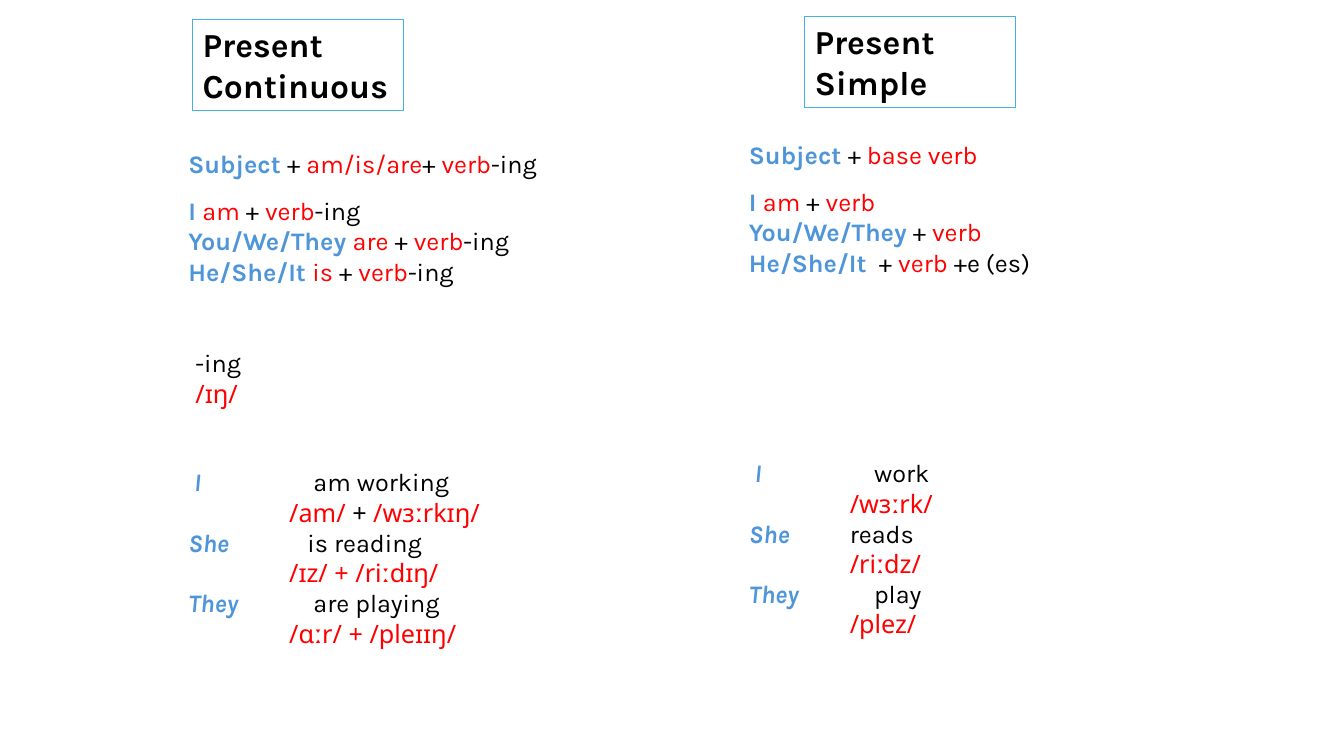
import pptx
import pptx.dml.color
import pptx.enum.shapes
import pptx.enum.text
import pptx.util
from lxml import etree
from pptx.util import Inches

BLACK = pptx.dml.color.RGBColor(0x00, 0x00, 0x00)
BLUE = pptx.dml.color.RGBColor(0x4E, 0x95, 0xD9)
RED = pptx.dml.color.RGBColor(0xFF, 0x00, 0x00)
BORDER = pptx.dml.color.RGBColor(0x46, 0xB1, 0xE1)

# Run styles: font, colour, bold, italic
PLAIN = ("Karla", BLACK, False, False)
VERB = ("Karla", RED, False, False)
SUBJECT = ("Karla", BLUE, True, False)
PRONOUN = ("Karla", BLUE, True, True)
SOUND = ("Noto Sans", RED, False, False)
SOUND_PLUS = ("Noto Sans", BLACK, False, False)
HEADING = ("Karla", BLACK, True, False)

SOUND_INDENT = 1.0
ING = ("-ing", PLAIN)
PLUS = (" + ", PLAIN)
PLAIN_VERB = ("verb", VERB)


def format_run(run, style, size=18):
    run.font.name, run.font.color.rgb, run.font.bold, run.font.italic = style
    run.font.size = pptx.util.Pt(size)


def add_text(slide, left, top, width, height, lines):
    """Add a text box; each line is a list of (text, style) pairs."""
    box = slide.shapes.add_textbox(
        Inches(left), Inches(top), Inches(width), Inches(height))
    frame = box.text_frame
    frame.word_wrap = True
    for index, line in enumerate(lines):
        paragraph = frame.paragraphs[0] if index == 0 else frame.add_paragraph()
        for text, style in line:
            run = paragraph.add_run()
            run.text = text
            format_run(run, style)
    return box


def format_heading(shape, left, top, text):
    shape.left, shape.top = Inches(left), Inches(top)
    shape.width, shape.height = Inches(2.09), Inches(0.91)
    shape.fill.background()
    shape.line.color.rgb = BORDER
    shape.line.width = pptx.util.Pt(0.75)
    frame = shape.text_frame
    frame.text = text
    frame.word_wrap = True
    frame.auto_size = pptx.enum.text.MSO_AUTO_SIZE.NONE
    frame.vertical_anchor = pptx.enum.text.MSO_ANCHOR.TOP
    paragraph = frame.paragraphs[0]
    paragraph.alignment = pptx.enum.text.PP_ALIGN.LEFT
    format_run(paragraph.runs[0], HEADING, 24)


def set_tab_stop(paragraph, position):
    properties = paragraph._p.get_or_add_pPr()
    namespace = "{http://schemas.openxmlformats.org/drawingml/2006/main}"
    tabs = etree.SubElement(properties, namespace + "tabLst")
    etree.SubElement(tabs, namespace + "tab",
                     pos=str(Inches(position)), algn="l")


def add_examples(slide, left, top, examples):
    """Add pairs of lines: pronoun and phrase, then the indented sounds."""
    lines = []
    for pronoun, phrase, phrase_position, sounds in examples:
        lines += [[(pronoun, PRONOUN), ("\t" + phrase, PLAIN)], sounds]
    box = add_text(slide, left, top, 4.89, 1.92, lines)
    paragraphs = box.text_frame.paragraphs
    for example, paragraph in zip(examples, paragraphs[::2]):
        set_tab_stop(paragraph, example[2])
    for paragraph in paragraphs[1::2]:
        paragraph._p.get_or_add_pPr().set("marL", str(Inches(SOUND_INDENT)))


def add_continuous(slide):
    left = 1.77
    format_heading(slide.shapes.title, 1.91, 0.19, "Present Continuous")
    add_text(slide, left, 1.42, 3.77, 0.4, [
        [("Subject ", SUBJECT), ("+ ", PLAIN), ("am/is/are", VERB),
         ("+ ", PLAIN), PLAIN_VERB, ING]])
    forms = [("I ", "am"), ("You/We/They ", "are"), ("He/She/It ", "is")]
    add_text(slide, left, 1.89, 3.46, 1.01, [
        [(subject, SUBJECT), (auxiliary, VERB), PLUS, PLAIN_VERB, ING]
        for subject, auxiliary in forms])
    add_text(slide, 1.84, 3.4, 1.06, 0.71, [[ING], [("/ɪŋ/", SOUND)]])
    add_examples(slide, left, 4.58, [
        (" I ", "am working", 1.24,
         [("/am/ ", SOUND), ("+ ", SOUND_PLUS), ("/wɜːrkɪŋ/", SOUND)]),
        ("She ", "is reading", 1.18, [("/ɪz/ + /riːdɪŋ/", SOUND)]),
        ("They", "are playing", 1.24, [("/ɑːr/ + /pleɪɪŋ/", SOUND)])])


def add_simple(slide):
    left = 7.33
    heading = slide.shapes.add_shape(
        pptx.enum.shapes.MSO_SHAPE.RECTANGLE, 0, 0, Inches(1), Inches(1))
    heading.shadow.inherit = False
    format_heading(heading, 7.98, 0.16, "Present Simple")
    add_text(slide, left, 1.33, 3.77, 0.4, [
        [("Subject ", SUBJECT), ("+ ", PLAIN), ("base verb", VERB)]])
    add_text(slide, left, 1.8, 3.46, 1.01, [
        [("I ", SUBJECT), ("am", VERB), PLUS, PLAIN_VERB],
        [("You/We/They", SUBJECT), PLUS, PLAIN_VERB],
        [("He/She/It ", SUBJECT), PLUS, ("verb ", VERB), ("+e (es)", PLAIN)]])
    add_examples(slide, left, 4.49, [
        (" I ", "work", 1.24, [("/wɜːrk/", SOUND)]),
        ("She ", "reads", 1.0, [("/riːdz/", SOUND)]),
        ("They", "play", 1.24, [("/plez/", SOUND)])])


def main():
    presentation = pptx.Presentation()
    presentation.slide_width = Inches(13.33)
    presentation.slide_height = Inches(7.5)
    slide = presentation.slides.add_slide(presentation.slide_layouts[5])
    add_continuous(slide)
    add_simple(slide)
    presentation.save("out.pptx")


if __name__ == "__main__":
    main()
